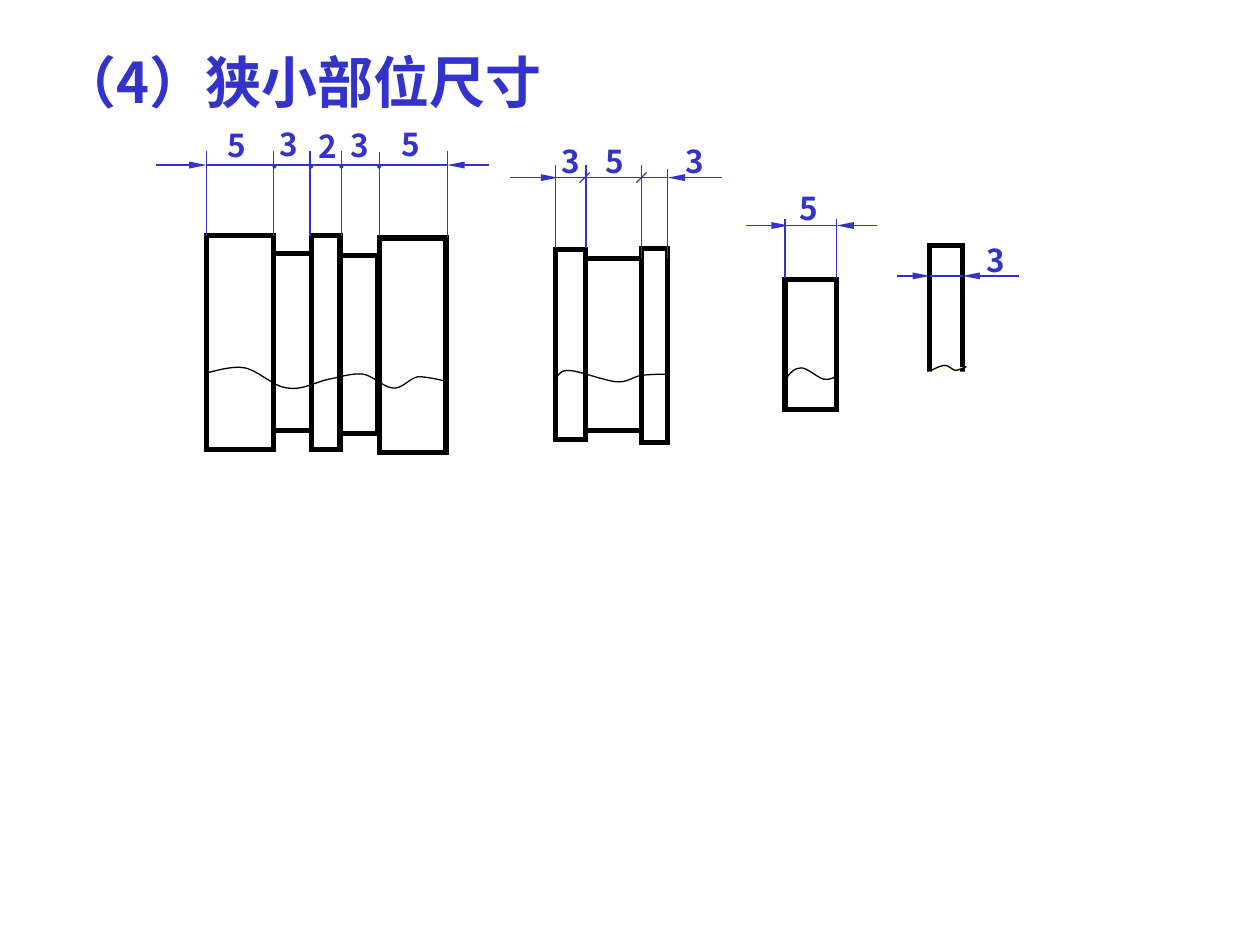
from dataclasses import dataclass

from lxml import etree
from pptx import Presentation
from pptx.dml.color import RGBColor
from pptx.enum.shapes import MSO_CONNECTOR, MSO_SHAPE
from pptx.enum.text import MSO_ANCHOR, MSO_AUTO_SIZE, PP_ALIGN
from pptx.oxml.ns import qn
from pptx.util import Inches, Pt


@dataclass(frozen=True)
class Theme:
    dimension: RGBColor = RGBColor(0x33, 0x33, 0xCC)
    outline: RGBColor = RGBColor(0, 0, 0)
    paper: RGBColor = RGBColor(0xFF, 0xFF, 0xFF)
    cut: RGBColor = RGBColor(0xFF, 0xFF, 0xCC)
    title_size: Pt = Pt(32)
    number_size: Pt = Pt(18)
    dot_size: Pt = Pt(5)
    thick: Pt = Pt(3)
    thin: Pt = Pt(0.75)
    font: str = "Noto Sans CJK SC"
    dot_font: str = "Calibri"


theme = Theme()


def write_text(shape, text, size, font_name, alignment):
    """Fill a shape with one bold, unwrapped run in the dimension colour."""
    frame = shape.text_frame
    frame.word_wrap = False
    frame.auto_size = MSO_AUTO_SIZE.SHAPE_TO_FIT_TEXT
    frame.vertical_anchor = MSO_ANCHOR.MIDDLE
    paragraph = frame.paragraphs[0]
    paragraph.alignment = alignment
    run = paragraph.add_run()
    run.text = text
    run.font.size = size
    run.font.bold = True
    run.font.name = font_name
    run.font.color.rgb = theme.dimension
    east_asian = etree.SubElement(run.font._element, qn("a:ea"))
    east_asian.set("typeface", font_name)


def add_line(x1, y1, x2, y2, arrow=False):
    """Draw a thin dimension line, with an optional arrowhead at its end."""
    line = slide.shapes.add_connector(
        MSO_CONNECTOR.STRAIGHT, Inches(x1), Inches(y1), Inches(x2), Inches(y2))
    line.line.color.rgb = theme.dimension
    line.line.width = theme.thin
    properties = line._element.spPr
    if arrow:
        etree.SubElement(properties.find(qn("a:ln")), qn("a:tailEnd"),
                         type="triangle", w="sm", len="lg")
    etree.SubElement(properties, qn("a:effectLst"))


presentation = Presentation()
presentation.slide_width = Inches(10)
presentation.slide_height = Inches(7.5)
slide = presentation.slides.add_slide(presentation.slide_layouts[5])

title = slide.shapes.title
title.left, title.top = Inches(0.38), Inches(0.32)
title.width, title.height = Inches(4.4), Inches(0.64)
write_text(title, "（4）狭小部位尺寸", theme.title_size, theme.font, PP_ALIGN.LEFT)

# Part sections: left, top, width, height
sections = [
    (2.17, 2.01, 0.3, 1.41), (2.47, 1.87, 0.23, 1.7), (1.64, 1.87, 0.53, 1.7),
    (3.01, 1.89, 0.53, 1.7), (2.7, 2.03, 0.3, 1.41),
    (4.41, 1.98, 0.24, 1.51), (4.65, 2.05, 0.44, 1.37), (5.09, 1.97, 0.21, 1.54),
    (6.23, 2.22, 0.41, 1.03),
    (7.38, 1.95, 0.26, 1.08),
]
for bounds in sections:
    section = slide.shapes.add_shape(MSO_SHAPE.RECTANGLE, *map(Inches, bounds))
    section.shadow.inherit = False
    section.fill.background()
    section.line.color.rgb = theme.outline
    section.line.width = theme.thick
    etree.SubElement(section._element.spPr.find(qn("a:ln")), qn("a:miter"), lim="800000")

# Extension lines: x, bottom, top
extensions = [
    (1.64, 1.87, 1.2), (2.17, 1.87, 1.2), (2.46, 1.87, 1.2),
    (2.71, 1.87, 1.2), (3.01, 1.87, 1.21), (3.55, 1.89, 1.2),
    (4.41, 1.97, 1.31), (4.65, 1.97, 1.31), (5.09, 2.05, 1.31), (5.3, 2.05, 1.34),
    (6.23, 2.21, 1.74), (6.64, 2.21, 1.74),
]
for x, bottom, top in extensions:
    add_line(x, bottom, x, top)

# Dimension lines: y, outer left, left tip, inner left, right tip, outer right
dimensions = [
    (1.31, 1.24, 1.64, 1.64, 3.55, 3.88),
    (1.41, 4.05, 4.43, 4.41, 5.3, 5.73),
    (1.79, 5.92, 6.26, 6.23, 6.64, 6.96),
    (2.19, 7.12, 7.38, 7.38, 7.64, 8.09),
]
for y, outer_left, left_tip, inner_left, right_tip, outer_right in dimensions:
    add_line(outer_left, y, left_tip, y, arrow=True)
    add_line(inner_left, y, right_tip, y)
    add_line(outer_right, y, right_tip, y, arrow=True)

for x in (4.6, 5.05):
    add_line(x + 0.08, 1.37, x, 1.45)

numbers = [
    ("5", 1.71, 0.95), ("3", 2.12, 0.94), ("2", 2.43, 0.96), ("3", 2.68, 0.95), ("5", 3.09, 0.94),
    ("3", 4.36, 1.08), ("5", 4.71, 1.08), ("3", 5.34, 1.08),
    ("5", 6.25, 1.45),
    ("3", 7.73, 1.86),
]
for number, left, top in numbers:
    label = slide.shapes.add_textbox(Inches(left), Inches(top), Inches(0.34), Inches(0.4))
    write_text(label, number, theme.number_size, theme.font, PP_ALIGN.CENTER)

for left in (2.05, 2.34, 2.58, 2.88):
    dot = slide.shapes.add_textbox(Inches(left), Inches(1.22), Inches(0.26), Inches(0.19))
    write_text(dot, "●", theme.dot_size, theme.dot_font, PP_ALIGN.CENTER)

cover = slide.shapes.add_shape(
    MSO_SHAPE.RECTANGLE, Inches(7.33), Inches(2.95), Inches(0.39), Inches(0.34))
cover.shadow.inherit = False
cover.fill.solid()
cover.fill.fore_color.rgb = theme.paper
cover.line.fill.background()

# Break lines: fill, start point, then two control points and an end point per curve
break_lines = [
    (None, (1.64, 2.96), [
        (1.69, 2.95), (1.84, 2.9), (1.94, 2.92), (2.05, 2.94), (2.17, 3.07), (2.28, 3.08),
        (2.4, 3.1), (2.51, 3.03), (2.61, 3.01), (2.71, 2.99), (2.8, 2.96), (2.88, 2.97),
        (2.96, 2.98), (3.05, 3.08), (3.12, 3.08), (3.19, 3.09), (3.25, 3), (3.32, 2.99),
        (3.39, 2.99), (3.51, 3.02), (3.56, 3.03)]),
    (None, (4.41, 3.01), [
        (4.43, 2.99), (4.43, 2.94), (4.51, 2.94), (4.59, 2.94), (4.79, 3.02), (4.89, 3.03),
        (4.98, 3.04), (5.02, 2.99), (5.09, 2.98), (5.16, 2.97), (5.27, 2.97), (5.31, 2.97)]),
    (None, (6.25, 2.99), [
        (6.28, 2.95), (6.31, 2.92), (6.36, 2.92), (6.41, 2.92), (6.49, 3), (6.54, 3.01),
        (6.59, 3.02), (6.63, 2.99), (6.65, 2.98)]),
    (theme.cut, (7.39, 2.94), [
        (7.43, 2.92), (7.47, 2.9), (7.5, 2.9), (7.53, 2.9), (7.55, 2.93), (7.58, 2.94),
        (7.61, 2.94), (7.64, 2.92), (7.67, 2.91)]),
]
for fill, (start_x, start_y), points in break_lines:
    builder = slide.shapes.build_freeform(Inches(start_x), Inches(start_y))
    builder.add_line_segments([(Inches(x), Inches(y)) for x, y in points], close=False)
    break_line = builder.convert_to_shape()
    # Turn every three straight segments into one cubic curve
    segments = list(break_line._element.iter(qn("a:lnTo")))
    for first in range(0, len(segments), 3):
        curve = etree.Element(qn("a:cubicBezTo"))
        segments[first].addprevious(curve)
        for segment in segments[first:first + 3]:
            curve.append(segment[0])
            segment.getparent().remove(segment)
    break_line.shadow.inherit = False
    if fill is None:
        break_line.fill.background()
    else:
        break_line.fill.solid()
        break_line.fill.fore_color.rgb = fill
    break_line.line.color.rgb = theme.outline
    break_line.line.width = theme.thin

presentation.save("out.pptx")
